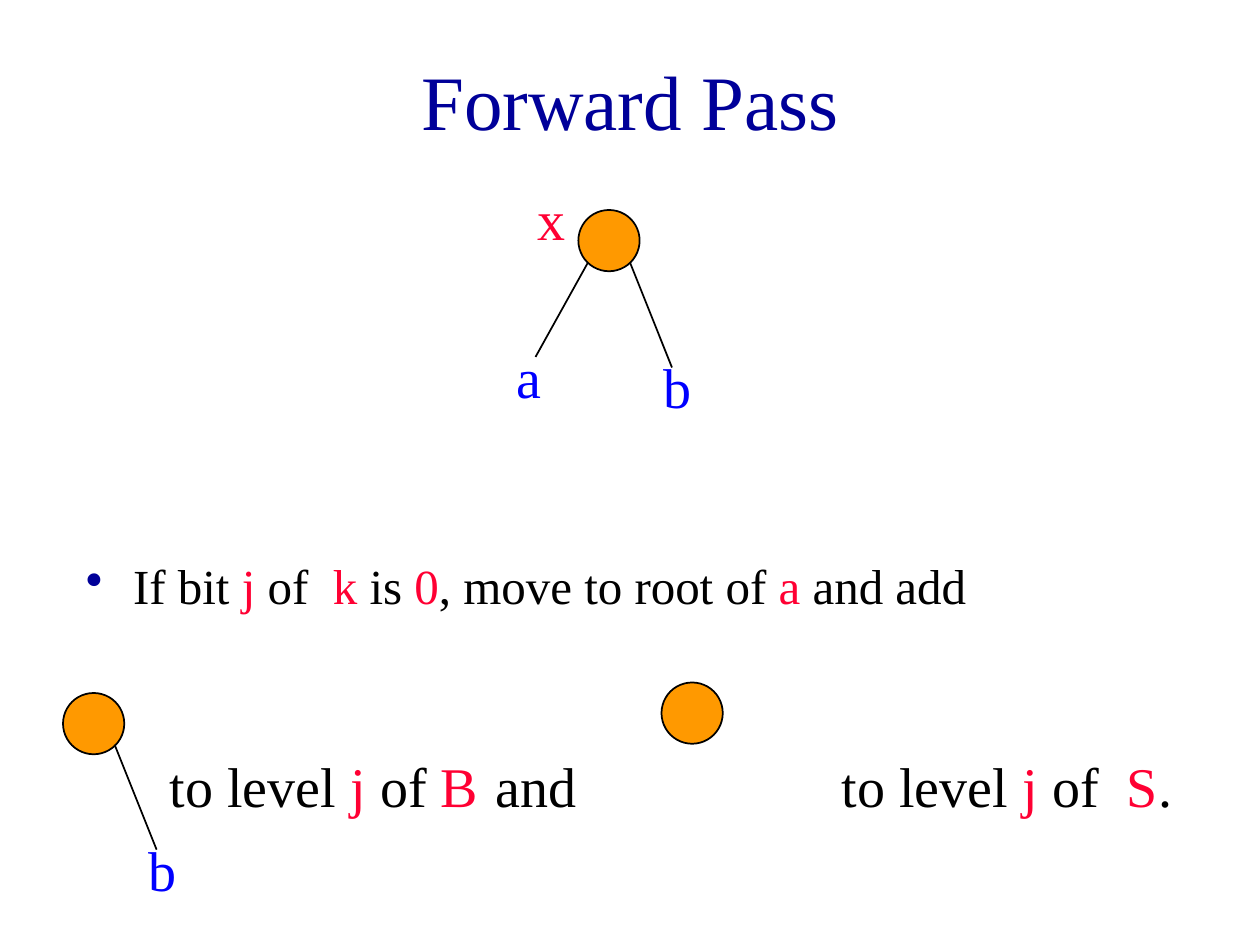
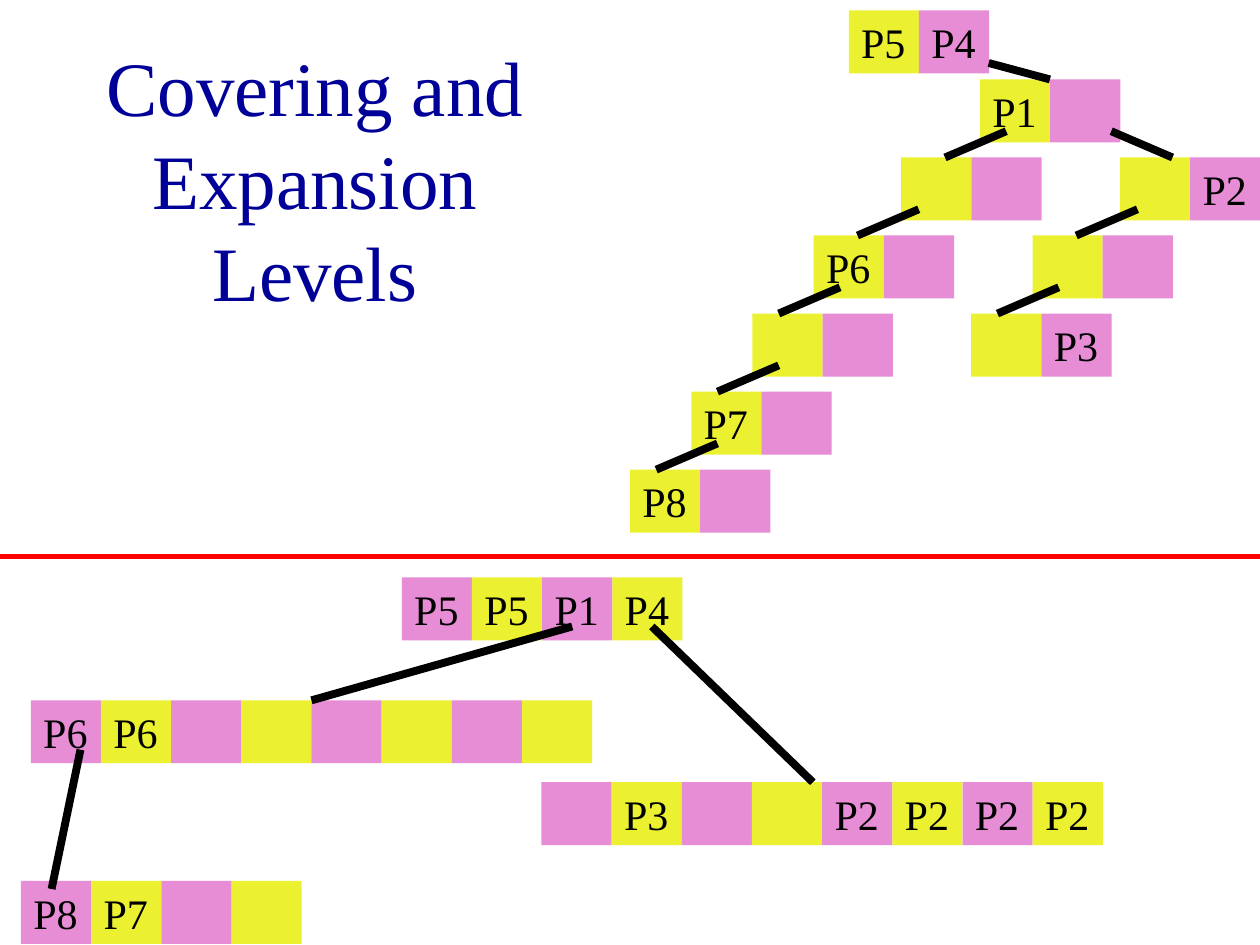
"""Build two slides on the forward pass and on covering and expansion levels."""

from typing import NamedTuple

from lxml import etree
from pptx import Presentation
from pptx.dml.color import RGBColor
from pptx.enum.shapes import MSO_CONNECTOR, MSO_SHAPE
from pptx.enum.text import MSO_ANCHOR, PP_ALIGN
from pptx.oxml.ns import qn
from pptx.slide import Slide
from pptx.text.text import TextFrame, _Paragraph
from pptx.util import Pt

STRAIGHT = MSO_CONNECTOR.STRAIGHT
ELLIPSE, RECTANGLE = MSO_SHAPE.OVAL, MSO_SHAPE.RECTANGLE
LEFT, CENTER = PP_ALIGN.LEFT, PP_ALIGN.CENTER
TOP, MIDDLE = MSO_ANCHOR.TOP, MSO_ANCHOR.MIDDLE

BLACK = RGBColor(0x00, 0x00, 0x00)
NAVY = RGBColor(0x00, 0x00, 0x99)
BLUE = RGBColor(0x00, 0x00, 0xFF)
CRIMSON = RGBColor(0xFF, 0x00, 0x33)
RED = RGBColor(0xFF, 0x00, 0x00)
ORANGE = RGBColor(0xFF, 0x99, 0x00)
YELLOW = RGBColor(0xEB, 0xF0, 0x30)
PINK = RGBColor(0xE7, 0x8D, 0xD6)

FONT = "Times New Roman"
SLIDE_WIDTH, SLIDE_HEIGHT = 720, 540
TITLE_SIZE, BULLET_SIZE, LABEL_SIZE, CELL_SIZE = 44, 28, 32, 24
LABEL_HEIGHT = 45
NODE_DIAMETER = 35
CELL_WIDTH, CELL_HEIGHT = 40.1, 36
BRANCH_WEIGHT, LINK_WEIGHT, DIVIDER_WEIGHT = 1, 4.5, 3
FIRST_LEVEL_TOP, LEVEL_STEP = 45.4, 44.6
LINK_DROP, LINK_RUN = 29.6, 35


class Run(NamedTuple):
    """A stretch of text in one colour."""

    text: str
    color: RGBColor = BLACK


class Box(NamedTuple):
    """A rectangle in points."""

    left: float
    top: float
    width: float
    height: float


class Label(NamedTuple):
    """A large line of text beside the tree drawing."""

    left: float
    top: float
    width: float
    runs: tuple[Run, ...]


class Line(NamedTuple):
    """A straight line between two points."""

    x1: float
    y1: float
    x2: float
    y2: float


class CellRow(NamedTuple):
    """A row of cells with alternating fills."""

    left: float
    top: float
    words: tuple[str, ...]
    fills: tuple[RGBColor, RGBColor]


class LevelLink(NamedTuple):
    """A link from one tree level to the next, going left or right."""

    start: float
    level: int
    direction: int = -1


NODES = ((378, 390), (36, 396), (330.5, 120))
BRANCHES = (
    Line(65.5, 425.5, 89.5, 485.5),
    Line(336, 150, 306, 204),
    Line(360, 150, 384, 210),
)
LABELS = (
    Label(276, 426, 78, (Run("and"),)),
    Label(78, 474, 36, (Run("b", BLUE),)),
    Label(90, 426, 198,
          (Run("to level "), Run("j", CRIMSON), Run(" of "), Run("B", CRIMSON))),
    Label(474, 426, 234,
          (Run("to level"), Run(" j", CRIMSON), Run(" of "), Run(" S", CRIMSON), Run("."))),
    Label(288, 192, 54, (Run("a", BLUE),)),
    Label(300, 102, 66, (Run("x", CRIMSON),)),
    Label(372, 198, 36, (Run("b", BLUE),)),
)
RULE = (
    Run("If bit "), Run("j", CRIMSON), Run(" of "), Run(" k", CRIMSON), Run(" is "),
    Run("0", CRIMSON), Run(", move to root of "), Run("a", CRIMSON), Run(" and add"),
)


def level_top(level: int) -> float:
    """Return the top of a covering level below the header."""
    return FIRST_LEVEL_TOP + LEVEL_STEP * level


COVERING_FILLS = (YELLOW, PINK)
EXPANSION_FILLS = (PINK, YELLOW)
COVERING_PAIRS = (
    (560, 0, ("P1", "")),
    (640, 1, ("", "P2")),
    (515, 1, ("", "")),
    (590, 2, ("", "")),
    (465, 2, ("P6", "")),
    (555, 3, ("", "P3")),
    (430, 3, ("", "")),
    (395, 4, ("P7", "")),
    (360, 5, ("P8", "")),
)
ROWS = (
    CellRow(229.6, 330, ("P5", "P5", "P1", "P4"), EXPANSION_FILLS),
    CellRow(17.6, 400.2, ("P6", "P6") + ("",) * 6, EXPANSION_FILLS),
    CellRow(309.4, 447, ("", "P3", "", "") + ("P2",) * 4, EXPANSION_FILLS),
    CellRow(12, 503.4, ("P8", "P7", "", ""), EXPANSION_FILLS),
    CellRow(485, 6, ("P5", "P4"), COVERING_FILLS),
) + tuple(
    CellRow(left, level_top(level), words, COVERING_FILLS)
    for left, level, words in COVERING_PAIRS
)
COVERING_LINKS = (
    LevelLink(635, 0, 1),
    LevelLink(575, 0),
    LevelLink(525, 1),
    LevelLink(480, 2),
    LevelLink(445, 3),
    LevelLink(410, 4),
    LevelLink(650, 1),
    LevelLink(605, 2),
)
LINKS = (
    Line(372.5, 358, 464.5, 447),
    Line(327, 358, 178, 400.2),
    Line(46, 428.4, 29.5, 508),
    Line(565, 36, 600, FIRST_LEVEL_TOP),
) + tuple(
    Line(link.start, level_top(link.level) + LINK_DROP,
         link.start + link.direction * LINK_RUN, level_top(link.level + 1))
    for link in COVERING_LINKS
)
DIVIDER = Line(0, 318.2, SLIDE_WIDTH, 318.2)


def write_text(frame: TextFrame, runs: tuple[Run, ...], *, size: float,
               align: PP_ALIGN = LEFT, anchor: MSO_ANCHOR = TOP,
               right_inset: float = 7.2, spacing: float = 1.0) -> _Paragraph:
    """Write one formatted paragraph into a frame and return it."""
    frame.word_wrap = True
    frame.vertical_anchor = anchor
    frame.margin_left, frame.margin_right = Pt(7.2), Pt(right_inset)
    frame.margin_top = frame.margin_bottom = Pt(3.6)
    paragraph = frame.paragraphs[0]
    paragraph.alignment = align
    paragraph.line_spacing = spacing
    for part in runs:
        run = paragraph.add_run()
        run.text = part.text
        run.font.name = FONT
        run.font.size = Pt(size)
        run.font.color.rgb = part.color
    return paragraph


def add_frame(slide: Slide, box: Box) -> TextFrame:
    """Add an empty text box and return its frame."""
    return slide.shapes.add_textbox(*map(Pt, box)).text_frame


def add_title(slide: Slide, text: str, box: Box) -> None:
    """Add a centred slide title."""
    write_text(add_frame(slide, box), (Run(text, NAVY),),
               size=TITLE_SIZE, align=CENTER, anchor=MIDDLE)


def add_bullet(paragraph: _Paragraph, color: RGBColor, indent: float) -> None:
    """Give a paragraph a coloured bullet and a hanging indent."""
    properties = paragraph._p.get_or_add_pPr()
    properties.set("marL", str(Pt(indent)))
    properties.set("indent", str(-Pt(indent)))
    bullet_color = etree.SubElement(properties, qn("a:buClr"))
    etree.SubElement(bullet_color, qn("a:srgbClr"), val=str(color))
    etree.SubElement(properties, qn("a:buChar"), char="•")


def add_line(slide: Slide, line: Line, color: RGBColor, weight: float) -> None:
    """Draw a straight line without a shadow."""
    connector = slide.shapes.add_connector(STRAIGHT, *map(Pt, line))
    connector.line.color.rgb = color
    connector.line.width = Pt(weight)
    etree.SubElement(connector._element.spPr, qn("a:effectLst"))


def add_node(slide: Slide, left: float, top: float) -> None:
    """Draw a round tree node."""
    node = slide.shapes.add_shape(
        ELLIPSE, Pt(left), Pt(top), Pt(NODE_DIAMETER), Pt(NODE_DIAMETER))
    node.shadow.inherit = False
    node.fill.solid()
    node.fill.fore_color.rgb = ORANGE
    node.line.color.rgb = BLACK
    node.line.width = Pt(BRANCH_WEIGHT)


def add_cell_row(slide: Slide, row: CellRow) -> None:
    """Draw a row of touching cells."""
    for column, word in enumerate(row.words):
        cell = slide.shapes.add_shape(
            RECTANGLE, Pt(row.left + column * CELL_WIDTH), Pt(row.top),
            Pt(CELL_WIDTH), Pt(CELL_HEIGHT))
        cell.shadow.inherit = False
        cell.fill.solid()
        cell.fill.fore_color.rgb = row.fills[column % 2]
        cell.line.fill.background()
        if word:
            write_text(cell.text_frame, (Run(word),), size=CELL_SIZE, right_inset=0)


def build_forward_pass(slide: Slide) -> None:
    """Build the slide on the forward pass."""
    add_title(slide, "Forward Pass", Box(54, 12, 612, 90))
    rule = write_text(add_frame(slide, Box(42, 318, 612, 42)), RULE,
                      size=BULLET_SIZE, spacing=0.9)
    add_bullet(rule, NAVY, 27)
    for left, top in NODES:
        add_node(slide, left, top)
    for branch in BRANCHES:
        add_line(slide, branch, BLACK, BRANCH_WEIGHT)
    for label in LABELS:
        box = Box(label.left, label.top, label.width, LABEL_HEIGHT)
        write_text(add_frame(slide, box), label.runs, size=LABEL_SIZE)


def build_levels(slide: Slide) -> None:
    """Build the slide on covering and expansion levels."""
    add_title(slide, "Covering and Expansion Levels", Box(48, 30, 264, 144))
    for row in ROWS:
        add_cell_row(slide, row)
    for link in LINKS:
        add_line(slide, link, BLACK, LINK_WEIGHT)
    add_line(slide, DIVIDER, RED, DIVIDER_WEIGHT)


def main() -> None:
    """Build and save the presentation."""
    deck = Presentation()
    deck.slide_width, deck.slide_height = Pt(SLIDE_WIDTH), Pt(SLIDE_HEIGHT)
    blank = deck.slide_layouts[6]
    for build in (build_forward_pass, build_levels):
        build(deck.slides.add_slide(blank))
    deck.save("out.pptx")


main()
